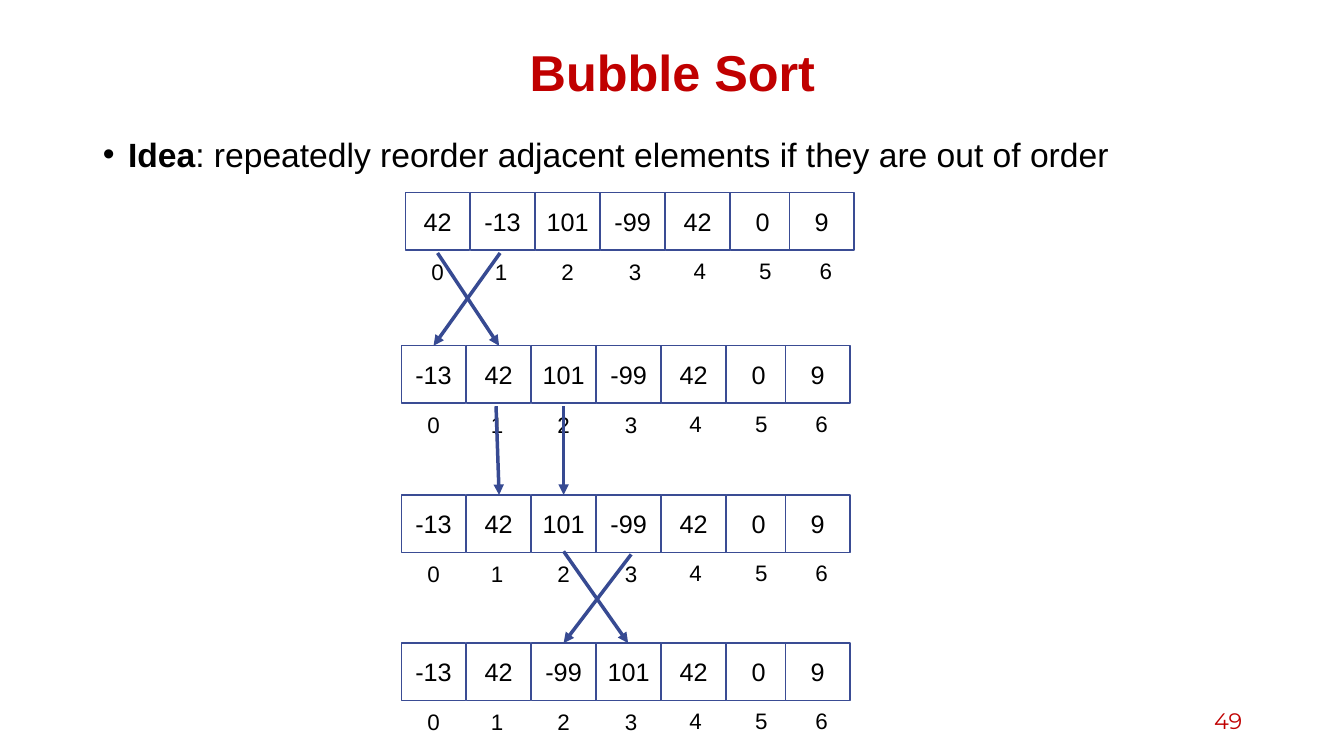
from lxml import etree
from pptx import Presentation
from pptx.dml.color import RGBColor
from pptx.enum import shapes, text
from pptx.oxml import ns
from pptx.util import Inches, Pt

RED = RGBColor(0xC0, 0x00, 0x00)
BLACK = RGBColor(0x00, 0x00, 0x00)
WHITE = RGBColor(0xFF, 0xFF, 0xFF)
EDGE = RGBColor(0x3A, 0x4C, 0x94)
ARROW = RGBColor(0x37, 0x4A, 0x92)

CELL_W, CELL_H, PITCH = 0.64, 0.57, 0.645
LAST = 3.81  # the last cell overlaps its neighbour a little
LABEL_MIDS = (0.32, 0.95, 1.61, 2.28, 2.92, 3.57, 4.17)
ROWS = [
    (4.02, 1.91, (42, -13, 101, -99, 42, 0, 9)),
    (3.98, 3.43, (-13, 42, 101, -99, 42, 0, 9)),
    (3.98, 4.91, (-13, 42, 101, -99, 42, 0, 9)),
    (3.98, 6.38, (-13, 42, -99, 101, 42, 0, 9)),
]
MOVES = [
    (4.34, 2.51, 4.95, 3.43),
    (4.92, 4.03, 4.95, 4.91),
    (5.59, 4.03, 5.59, 4.91),
    (4.96, 2.51, 4.3, 3.43),
    (5.59, 5.47, 6.23, 6.38),
    (6.26, 5.5, 5.59, 6.38),
]


def add_run(para, words, size, color=BLACK, bold=False, face="Arial"):
    run = para.add_run()
    run.text = words
    font = run.font
    font.size, font.bold, font.name = Pt(size), bold, face
    font.color.rgb = color


def place(shape, left, top, width, height):
    shape.left, shape.top = Inches(left), Inches(top)
    shape.width, shape.height = Inches(width), Inches(height)


def set_title(slide):
    title = slide.shapes.title
    place(title, 0.92, 0.4, 11.5, 0.7)
    frame = title.text_frame
    frame.auto_size = text.MSO_AUTO_SIZE.NONE
    frame.vertical_anchor = text.MSO_ANCHOR.MIDDLE
    para = frame.paragraphs[0]
    para.alignment, para.line_spacing = text.PP_ALIGN.CENTER, 0.9
    add_run(para, "Bubble Sort", 36, RED, True)


def set_body(slide):
    body = slide.placeholders[1]
    place(body, 0.92, 1.32, 11.5, 5.51)
    body.text_frame.auto_size = text.MSO_AUTO_SIZE.NONE
    para = body.text_frame.paragraphs[0]
    props = para._p.get_or_add_pPr()
    props.set("marL", str(Inches(0.25)))
    props.set("indent", str(Inches(-0.25)))
    etree.SubElement(props, ns.qn("a:buChar")).set("char", "•")
    para.line_spacing, para.space_before = 0.9, Pt(0)
    add_run(para, "Idea", 24, bold=True)
    add_run(para, ": repeatedly reorder adjacent elements if they are out of order", 24)


def add_cell(group, left, top, value):
    cell = group.shapes.add_shape(
        shapes.MSO_SHAPE.RECTANGLE, Inches(left), Inches(top), Inches(CELL_W), Inches(CELL_H))
    cell.shadow.inherit = False
    cell.fill.solid()
    cell.fill.fore_color.rgb = WHITE
    cell.line.color.rgb = EDGE
    cell.line.width = Pt(1)
    cell.text_frame.vertical_anchor = text.MSO_ANCHOR.MIDDLE
    para = cell.text_frame.paragraphs[0]
    para.alignment = text.PP_ALIGN.CENTER
    add_run(para, str(value), 18)


def add_label(group, mid, top, index):
    width = 0.34 if index == 5 else 0.4
    box = group.shapes.add_textbox(
        Inches(mid - width / 2), Inches(top), Inches(width), Inches(0.37))
    box.text_frame.word_wrap = True
    box.text_frame.auto_size = text.MSO_AUTO_SIZE.SHAPE_TO_FIT_TEXT
    para = box.text_frame.paragraphs[0]
    para.alignment = text.PP_ALIGN.CENTER
    add_run(para, str(index), 16)


def add_row(slide, left, top, values):
    """Draw one state of the array with its indices below."""
    group = slide.shapes.add_group_shape()
    for index, value in enumerate(values):
        shift = LAST if index == 6 else index * PITCH
        add_cell(group, left + shift, top, value)
    for index, mid in enumerate(LABEL_MIDS):
        drop = 0.6 if index < 4 else 0.59
        add_label(group, left + mid, top + drop, index)


def add_arrow(slide, *ends):
    line = slide.shapes.add_connector(
        shapes.MSO_CONNECTOR.STRAIGHT, *(Inches(end) for end in ends))
    line.line.color.rgb = ARROW
    line.line.width = Pt(2.5)
    stroke = line.line._get_or_add_ln()
    etree.SubElement(stroke, ns.qn("a:tailEnd")).set("type", "triangle")
    etree.SubElement(line._element.spPr, ns.qn("a:effectLst"))


def add_number(slide):
    box = slide.shapes.add_textbox(Inches(9.42), Inches(6.95), Inches(3), Inches(0.4))
    box.text_frame.word_wrap = True
    box.text_frame.vertical_anchor = text.MSO_ANCHOR.MIDDLE
    para = box.text_frame.paragraphs[0]
    para.alignment = text.PP_ALIGN.RIGHT
    add_run(para, "49", 16, RED, face="Montserrat")


def main():
    deck = Presentation()
    deck.slide_width, deck.slide_height = Inches(13.33), Inches(7.5)
    slide = deck.slides.add_slide(deck.slide_layouts[1])
    set_title(slide)
    set_body(slide)
    add_number(slide)
    for row in ROWS:
        add_row(slide, *row)
    for move in MOVES:
        add_arrow(slide, *move)
    deck.save("out.pptx")


if __name__ == "__main__":
    main()
